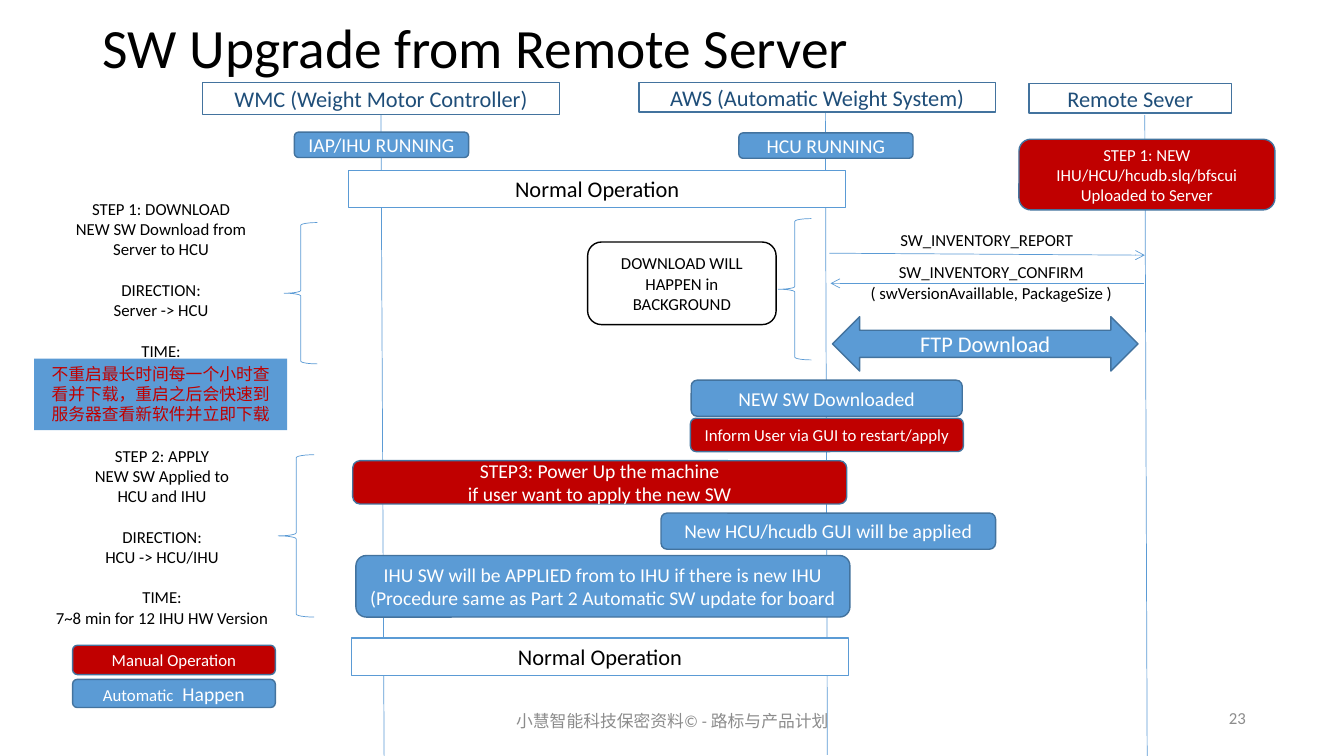
from lxml.etree import SubElement
from pptx import Presentation
from pptx.dml.color import RGBColor
from pptx.enum.shapes import MSO_CONNECTOR, MSO_SHAPE as Preset
from pptx.enum.text import MSO_ANCHOR as Anchor, MSO_AUTO_SIZE, PP_ALIGN as Align
from pptx.oxml.ns import qn
from pptx.util import Cm, Pt

FONT = "Calibri"
COLORS = {"black": "000000", "white": "FFFFFF", "grey": "8C8C8C", "blue": "5B9BD5",
          "edge": "43739E", "navy": "1F4E79", "red": "C00000"}
BLANK_LINE = 14.6  # points, one line of 12 pt text

TITLE = "SW Upgrade from Remote Server"
TITLE_BOX = (2.34, 0.56, 29.21, 1.42)

# style: preset, fill, line, text colour, anchor
STYLES = {
    "header": (Preset.RECTANGLE, None, "edge", "navy", Anchor.MIDDLE),
    "automatic": (Preset.ROUNDED_RECTANGLE, "blue", "edge", "white", Anchor.MIDDLE),
    "manual": (Preset.ROUNDED_RECTANGLE, "red", "edge", "white", Anchor.MIDDLE),
    "remark": (Preset.ROUNDED_RECTANGLE, "white", "black", "black", Anchor.MIDDLE),
    "transfer": (Preset.LEFT_RIGHT_ARROW, "blue", "edge", "white", Anchor.MIDDLE),
    "phase": (Preset.RECTANGLE, "white", "blue", "black", Anchor.TOP),
    "timing": (Preset.RECTANGLE, "blue", None, "red", Anchor.TOP),
    "brace": (Preset.LEFT_BRACE, None, "blue", "black", Anchor.MIDDLE),
}

# start x, start y, end x, end y
LIFELINES = [(9.6, 2.9, 9.68, 19.05), (20.8, 2.84, 20.85, 19.02), (28.85, 2.9, 28.91, 19.05)]
MESSAGES = [(20.9, 6.38, 28.85, 6.43), (28.83, 7.14, 20.93, 7.14)]

# style, (left, top, width, height), size, paragraphs
BLOCKS = [
    ("header", (5.11, 2.08, 8.99, 0.81), 16, ["WMC (Weight Motor Controller)"]),
    ("header", (16.1, 2.08, 8.99, 0.74), 16, ["AWS (Automatic Weight System)"]),
    ("header", (25.93, 2.11, 5.11, 0.74), 16, ["Remote Sever"]),
    ("automatic", (7.42, 3.33, 4.39, 0.64), 14, ["IAP/IHU RUNNING"]),
    ("automatic", (18.62, 3.35, 4.39, 0.64), 14, ["HCU RUNNING"]),
    ("manual", (25.68, 3.51, 6.45, 1.78), 12,
     ["STEP 1: NEW", "IHU/HCU/hcudb.slq/bfscui", "Uploaded to Server"]),
    ("phase", (8.79, 4.29, 12.52, 0.94), 16, ["Normal Operation"]),
    ("remark", (14.81, 6.1, 4.75, 2.08), 12, ["DOWNLOAD WILL HAPPEN in BACKGROUND"]),
    ("brace", (19.61, 5.51, 0.84, 3.56), 12, []),
    ("brace", (7.16, 5.61, 0.84, 3.56), 12, []),
    ("transfer", (20.98, 7.98, 7.7, 1.37), 16, ["FTP Download"]),
    ("automatic", (17.42, 9.58, 6.83, 0.91), 14, ["NEW SW Downloaded"]),
    ("manual", (17.4, 10.54, 6.88, 0.84), 12, ["Inform User via GUI to restart/apply"]),
    ("brace", (7.01, 11.46, 0.91, 4.09), 12, []),
    ("manual", (8.89, 11.61, 12.45, 1.09), 14,
     ["STEP3: Power Up the machine", "if user want to apply the new SW"]),
    ("automatic", (16.66, 12.93, 8.43, 0.91), 14, ["New HCU/hcudb GUI will be applied"]),
    ("automatic", (8.97, 14, 12.45, 1.55), 14,
     ["IHU SW will be APPLIED from to IHU if there is new IHU",
      "(Procedure same as Part 2 Automatic SW update for board"]),
    ("phase", (8.86, 16.08, 12.52, 0.94), 16, ["Normal Operation"]),
    ("manual", (1.83, 16.26, 5.11, 0.74), 12, ["Manual Operation"]),
    ("automatic", (1.83, 17.12, 5.11, 0.71), 12, [[("Automatic", 12), ("  Happen", 14)]]),
    ("timing", (0.86, 9.04, 6.38, 1.8), 12,
     ["不重启最长时间每一个小时查看并下载，重启之后会快速到服务器查看新软件并立即下载"]),
]

# (left, top, width, height), colour, anchor, alignment, groups of paragraphs
LABELS = [
    ((21.95, 5.66, 5.84, 0.76), "black", Anchor.TOP, Align.CENTER, [["SW_INVENTORY_REPORT"]]),
    ((20.73, 6.48, 8.51, 1.27), "black", Anchor.TOP, Align.CENTER,
     [["SW_INVENTORY_CONFIRM", "( swVersionAvaillable, PackageSize )"]]),
    ((1.14, 4.88, 5.84, 4.37), "black", Anchor.TOP, Align.CENTER,
     [["STEP 1: DOWNLOAD", "NEW SW Download from Server to HCU"],
      ["DIRECTION:", "Server -> HCU"], ["TIME:"]]),
    ((0.91, 11.1, 6.35, 4.88), "black", Anchor.TOP, Align.CENTER,
     [["STEP 2: APPLY", "NEW SW Applied to", "HCU and IHU"],
      ["DIRECTION:", "HCU -> HCU/IHU"], ["TIME:", "7~8 min for 12 IHU HW Version"]]),
    ((11.23, 17.65, 11.43, 1.02), "grey", Anchor.MIDDLE, Align.CENTER,
     [["小慧智能科技保密资料© - 路标与产品计划"]]),
    ((24.03, 17.58, 7.62, 1.02), "grey", Anchor.MIDDLE, Align.RIGHT, [["23"]]),
]


def rgb(name):
    return RGBColor.from_string(COLORS[name])


def write(shape, groups, size, color, anchor, align=Align.CENTER):
    """Fill a shape with groups of paragraphs, one line apart."""
    frame = shape.text_frame
    frame.word_wrap = True
    frame.auto_size = MSO_AUTO_SIZE.NONE
    frame.vertical_anchor = anchor
    paragraph = None
    for group in groups:
        for position, content in enumerate(group):
            first = paragraph is None
            paragraph = frame.paragraphs[0] if first else frame.add_paragraph()
            paragraph.alignment = align
            if position == 0 and not first:
                paragraph.space_before = Pt(BLANK_LINE)
            pieces = [(content, size)] if isinstance(content, str) else content
            for text, points in pieces:
                run = paragraph.add_run()
                run.text = text
                run.font.name = FONT
                run.font.size = Pt(points)
                run.font.color.rgb = rgb(color)


def add_block(slide, style, box, size, paragraphs):
    preset, fill, line, color, anchor = STYLES[style]
    shape = slide.shapes.add_shape(preset, *map(Cm, box))
    shape.shadow.inherit = False
    if fill:
        shape.fill.solid()
        shape.fill.fore_color.rgb = rgb(fill)
    else:
        shape.fill.background()
    if line:
        shape.line.color.rgb = rgb(line)
        shape.line.width = Pt(0.5 if style == "brace" else 1)
    else:
        shape.line.fill.background()
    write(shape, [paragraphs], size, color, anchor)


def add_line(slide, ends, arrow=False):
    connector = slide.shapes.add_connector(MSO_CONNECTOR.STRAIGHT, *map(Cm, ends))
    connector.line.color.rgb = rgb("blue")
    connector.line.width = Pt(0.5)
    properties = connector.element.spPr
    if arrow:
        SubElement(properties.find(qn("a:ln")), qn("a:tailEnd"), type="arrow")
    SubElement(properties, qn("a:effectLst"))


def main():
    presentation = Presentation()
    presentation.slide_width, presentation.slide_height = Cm(33.87), Cm(19.05)
    slide = presentation.slides.add_slide(presentation.slide_layouts[5])

    title = slide.shapes.title
    title.left, title.top, title.width, title.height = map(Cm, TITLE_BOX)
    write(title, [[TITLE]], 39.6, "black", Anchor.MIDDLE, Align.LEFT)
    title.text_frame.paragraphs[0].line_spacing = 0.9

    for ends in LIFELINES:
        add_line(slide, ends)
    for ends in MESSAGES:
        add_line(slide, ends, arrow=True)
    for block in BLOCKS:
        add_block(slide, *block)
    for box, color, anchor, align, groups in LABELS:
        label = slide.shapes.add_textbox(*map(Cm, box))
        write(label, groups, 12, color, anchor, align)

    presentation.save("out.pptx")


if __name__ == "__main__":
    main()
